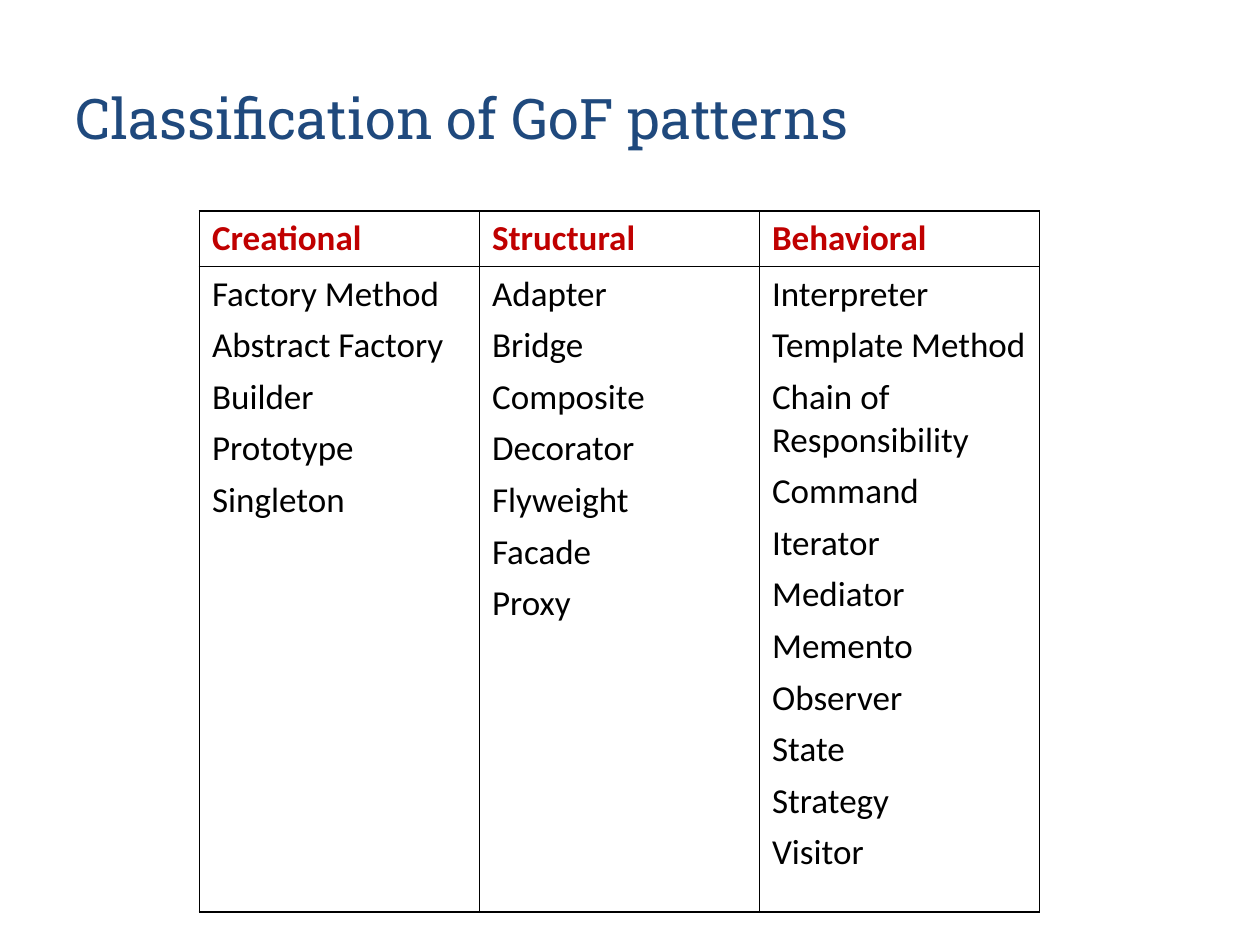
"""Build a slide with a table that classifies the GoF design patterns."""
from lxml import etree
from pptx import Presentation
from pptx.dml.color import RGBColor
from pptx.enum import text
from pptx.oxml.ns import qn
from pptx.util import Pt

NAVY = RGBColor(0x1F, 0x49, 0x7D)
RED = RGBColor(0xC0, 0x00, 0x00)
BLACK = RGBColor(0x00, 0x00, 0x00)
THIN, THICK = Pt(0.45), Pt(1.08)

PATTERNS = {
    "Creational": ["Factory Method", "Abstract Factory", "Builder", "Prototype", "Singleton"],
    "Structural": ["Adapter", "Bridge", "Composite", "Decorator", "Flyweight", "Facade", "Proxy"],
    "Behavioral": ["Interpreter", "Template Method", "Chain of Responsibility", "Command",
                   "Iterator", "Mediator", "Memento", "Observer", "State", "Strategy", "Visitor"],
}


def set_borders(cell, widths):
    tcPr = cell._tc.get_or_add_tcPr()
    for i, (side, width) in enumerate(widths.items()):
        ln = etree.Element(qn(f"a:ln{side}"), w=str(width))
        fill = etree.SubElement(ln, qn("a:solidFill"))
        etree.SubElement(fill, qn("a:srgbClr"), val=str(BLACK))
        tcPr.insert(i, ln)


def fill_cell(cell, lines, color, bold):
    cell.fill.background()
    tf = cell.text_frame
    tf.text = "\n".join(lines)
    for i, p in enumerate(tf.paragraphs):
        p.space_before = Pt(5 if i else 0)
        for r in p.runs:
            r.font.name = "Calibri"
            r.font.size = Pt(20)
            r.font.bold = bold
            r.font.color.rgb = color


prs = Presentation()
prs.slide_width, prs.slide_height = Pt(720), Pt(540)
s = prs.slides.add_slide(prs.slide_layouts[5])

title = s.shapes.title
title.left, title.top, title.width, title.height = Pt(36), Pt(12), Pt(648), Pt(78)
tf = title.text_frame
tf.text = "Classification of GoF patterns"
tf.vertical_anchor = text.MSO_ANCHOR.BOTTOM
p = tf.paragraphs[0]
p.alignment = text.PP_ALIGN.LEFT
r = p.runs[0]
r.font.name = "Roboto Slab"
r.font.size = Pt(32)
r.font.color.rgb = NAVY

cols = len(PATTERNS)
table = s.shapes.add_table(2, cols, Pt(114), Pt(120.5), Pt(480), Pt(400)).table
table.first_row = table.horz_banding = False
table.rows[0].height, table.rows[1].height = Pt(31), Pt(369)

for col, (group, names) in enumerate(PATTERNS.items()):
    fill_cell(table.cell(0, col), [group], RED, True)
    fill_cell(table.cell(1, col), names, BLACK, False)
    for row in range(2):
        set_borders(table.cell(row, col), {
            "L": THICK if col == 0 else THIN,
            "R": THICK if col == cols - 1 else THIN,
            "T": THICK if row == 0 else THIN,
            "B": THICK if row == 1 else THIN,
        })

prs.save("out.pptx")
